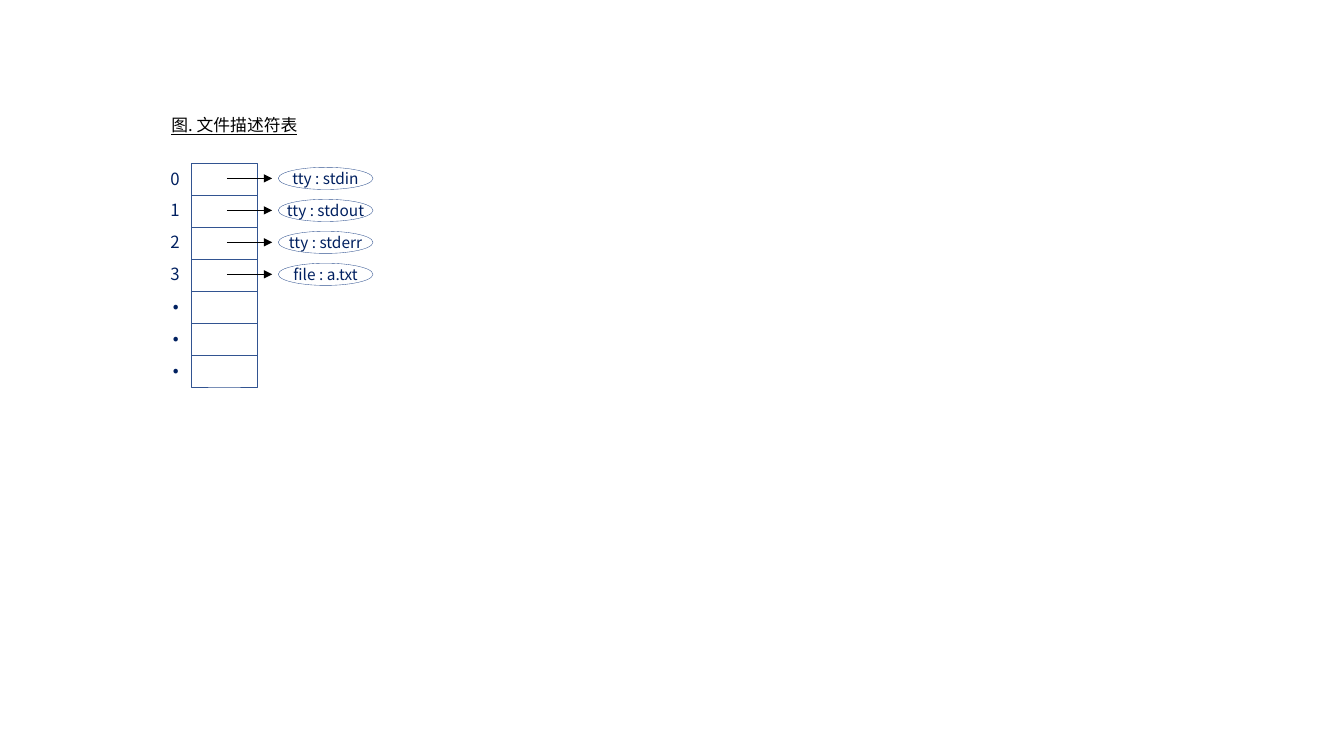
from lxml import etree
from pptx import Presentation
from pptx.dml.color import RGBColor
from pptx.enum.shapes import MSO_CONNECTOR, MSO_SHAPE
from pptx.enum.text import MSO_ANCHOR, MSO_AUTO_SIZE, PP_ALIGN
from pptx.oxml.ns import qn
from pptx.util import Inches, Pt

FONT = "Noto Sans CJK SC"
NAVY, BLUE, BLACK = "002060", "325491", "000000"
FILES = ["tty : stdin", "tty : stdout", "tty : stderr", "file : a.txt"]
ROWS = 7


def paint(color, value):
    """Set a colour format from a hex string."""
    color.rgb = RGBColor.from_string(value)


def write(shape, text, size, color=NAVY, align=PP_ALIGN.LEFT,
          anchor=MSO_ANCHOR.TOP, wrap=False, under=False):
    """Put one line of formatted text in a shape."""
    frame = shape.text_frame
    frame.text = text
    frame.word_wrap = wrap
    frame.auto_size = MSO_AUTO_SIZE.NONE
    frame.vertical_anchor = anchor
    line = frame.paragraphs[0]
    line.alignment = align
    font = line.runs[0].font
    font.size, font.name, font.underline = Pt(size), FONT, under
    paint(font.color, color)
    props = line.runs[0]._r.get_or_add_rPr()
    etree.SubElement(props, qn("a:ea")).set("typeface", FONT)


def label(slide, text, size, left, top, width, height):
    """Add an index label."""
    box = slide.shapes.add_textbox(
        Inches(left), Inches(top), Inches(width), Inches(height))
    write(box, text, size)


def outline(slide, kind, left, top, width, height):
    """Add an unfilled shape with a thin blue line."""
    shape = slide.shapes.add_shape(
        kind, Inches(left), Inches(top), Inches(width), Inches(height))
    shape.shadow.inherit = False
    shape.fill.background()
    paint(shape.line.color, BLUE)
    shape.line.width = Pt(0.25)
    return shape


def arrow(slide, left, right, y):
    """Add a level arrow that points right."""
    link = slide.shapes.add_connector(
        MSO_CONNECTOR.STRAIGHT, Inches(left), Inches(y), Inches(right), Inches(y))
    paint(link.line.color, BLACK)
    link.line.width = Pt(0.5)
    tail = etree.SubElement(link.line._get_or_add_ln(), qn("a:tailEnd"))
    tail.set("type", "triangle")
    etree.SubElement(link._element.spPr, qn("a:effectLst"))


def heading(slide, left, top, width, height):
    """Place the underlined title."""
    title = slide.shapes.title
    title.left, title.top = Inches(left), Inches(top)
    title.width, title.height = Inches(width), Inches(height)
    write(title, "图. 文件描述符表", 12, BLACK, wrap=True, under=True)


def table(slide, left, top, width, height):
    """Draw the descriptor slots, their labels and the open files."""
    pitch = height / ROWS
    slot = left + 0.31
    for row in range(ROWS):
        y = top + row * pitch
        outline(slide, MSO_SHAPE.RECTANGLE, slot, y, 0.65, pitch)
        if row >= len(FILES):
            label(slide, ".", 24, left + 0.01, y - 0.2, 0.28, 0.5)
            continue
        label(slide, str(row), 12, left, y, 0.29, 0.3)
        oval = outline(slide, MSO_SHAPE.OVAL, left + width - 0.94, y + 0.04, 0.94, 0.22)
        write(oval, FILES[row], 11, align=PP_ALIGN.CENTER, anchor=MSO_ANCHOR.MIDDLE)
        arrow(slide, slot + 0.35, slot + 0.8, y + 0.15)


def main():
    """Build and save the slide."""
    deck = Presentation()
    deck.slide_width, deck.slide_height = Inches(13.33), Inches(7.5)
    slide = deck.slides.add_slide(deck.slide_layouts[5])
    heading(slide, 1.6, 1.09, 1.46, 0.5)
    table(slide, 1.59, 1.62, 2.11, 2.22)
    deck.save("out.pptx")


main()
